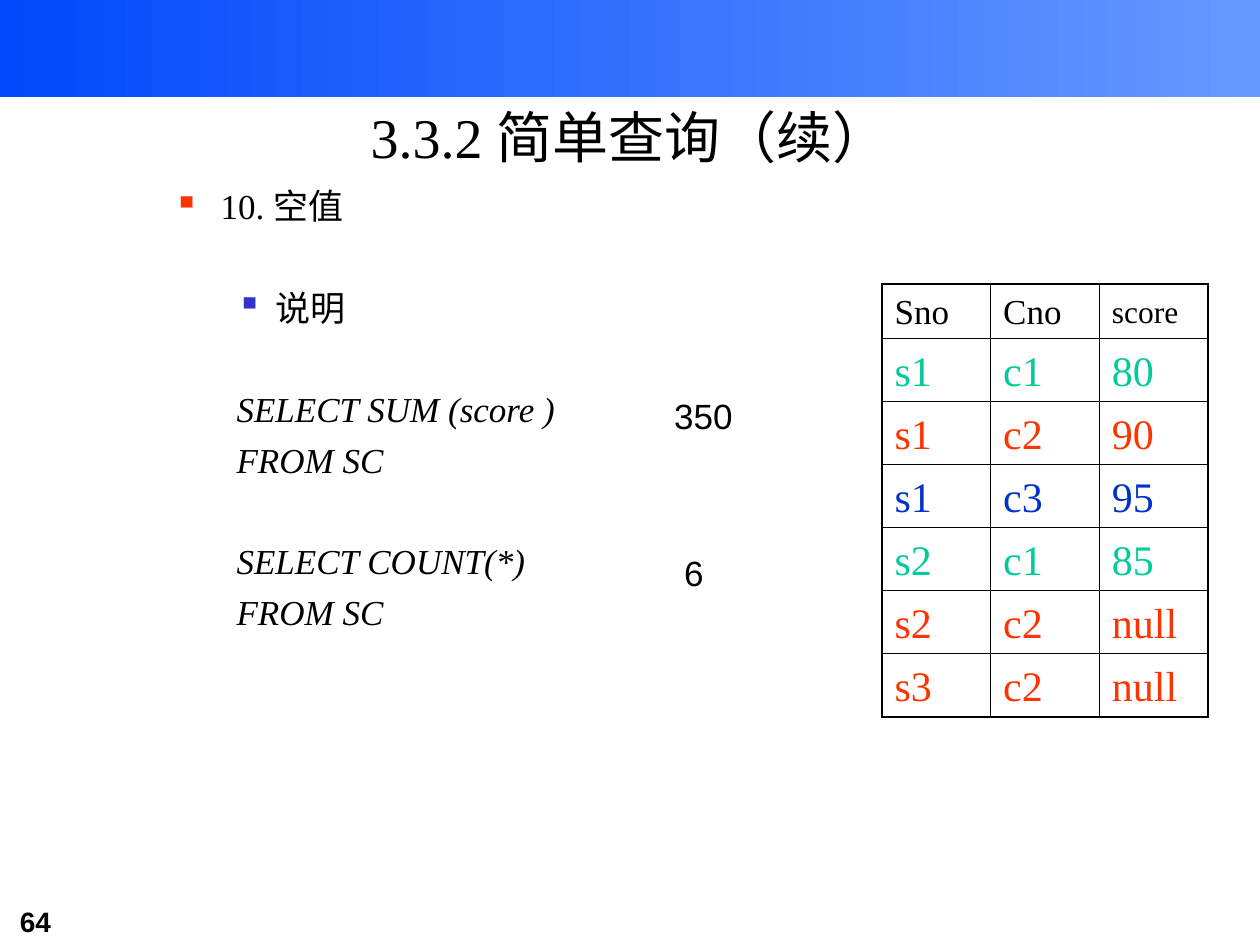
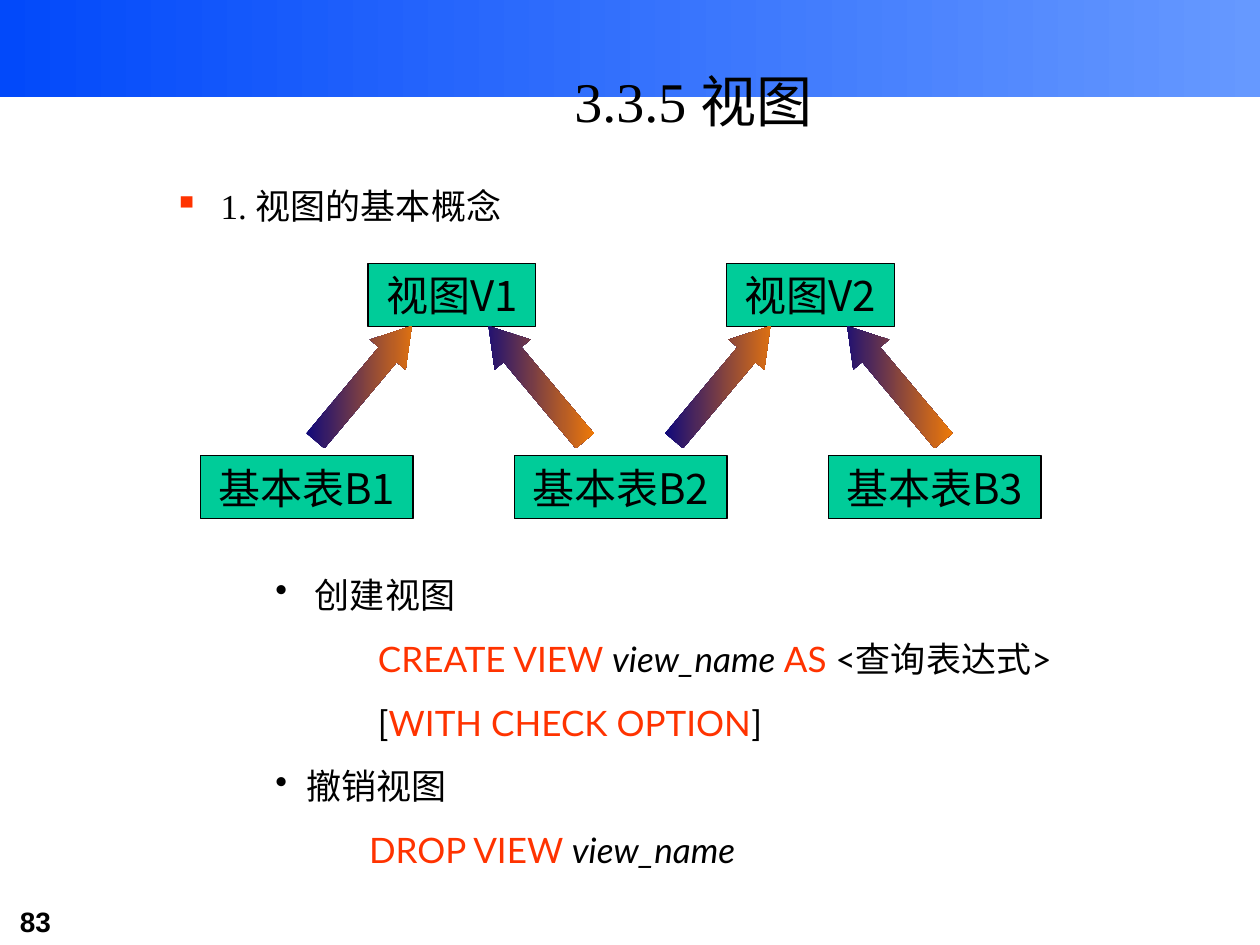
from lxml.etree import SubElement
from pptx import Presentation
from pptx.dml.color import RGBColor
from pptx.enum.shapes import MSO_SHAPE as Preset
from pptx.enum.text import MSO_ANCHOR as Anchor, PP_ALIGN as Align
from pptx.oxml.ns import qn
from pptx.util import Cm, Pt

SERIF, SANS, LATO, CJK = "Times New Roman", "Arial", "Lato", "Noto Sans CJK JP"
BLACK, RED, GREEN, BLUE, VIOLET = "000000", "FF3300", "00CC99", "0033CC", "3333CC"
BAND_COLOURS = ("0249FA", "6699FF")
ARROW_COLOURS = ("000082", "FF8200")
LINE_FACTOR = 1.2
THIN, THICK = 0.45, 1.08


def colour(value):
    return RGBColor.from_string(value)


def add_span(para, text, size, font=SERIF, tint=BLACK, bold=False, italic=False):
    span = para.add_run()
    span.text = text
    span.font.size = Pt(size)
    span.font.name = font
    span.font.bold = bold
    span.font.italic = italic
    span.font.color.rgb = colour(tint)
    SubElement(span._r.get_or_add_rPr(), qn("a:ea")).set("typeface", CJK)
    para.line_spacing = Pt(size * LINE_FACTOR)


def next_para(frame, before=0.0):
    first = frame.paragraphs[0]
    if not first.runs:
        return first
    para = frame.add_paragraph()
    para.space_before = Pt(before)
    return para


def indent(para, left, bullet=None, bullet_tint=BLACK, hang=0.0):
    properties = para._p.get_or_add_pPr()
    properties.set("marL", str(Cm(left)))
    properties.set("indent", str(-Cm(hang)))
    if bullet:
        tint = SubElement(properties, qn("a:buClr"))
        SubElement(tint, qn("a:srgbClr")).set("val", bullet_tint)
        SubElement(properties, qn("a:buChar")).set("char", bullet)


def add_frame(page, left, top, width, height, anchor=Anchor.TOP):
    box = page.shapes.add_textbox(Cm(left), Cm(top), Cm(width), Cm(height))
    frame = box.text_frame
    frame.word_wrap = True
    frame.vertical_anchor = anchor
    return frame


def add_label(page, text, left, top, width, height, size, bold=False):
    frame = add_frame(page, left, top, width, height)
    add_span(next_para(frame), text, size, SANS, bold=bold)


def add_preset(page, preset, left, top, width, height):
    shape = page.shapes.add_shape(preset, Cm(left), Cm(top), Cm(width), Cm(height))
    shape.shadow.inherit = False
    shape.line.fill.background()
    return shape


def fill_gradient(shape, colours):
    shape.fill.gradient()
    shape.fill.gradient_angle = 0
    for stop, position, value in zip(shape.fill.gradient_stops, (0, 1), colours):
        stop.position = position
        stop.color.rgb = colour(value)
    shape._element.spPr.find(qn("a:gradFill")).set("rotWithShape", "0")


def add_page(deck, title, title_left, title_top, number):
    page = deck.slides.add_slide(deck.slide_layouts[6])
    band = add_preset(page, Preset.RECTANGLE, 0, 0, 25.4, 1.96)
    fill_gradient(band, BAND_COLOURS)
    add_label(page, number, 0.15, 18.11, 3.1, 0.94, 16, bold=True)
    frame = add_frame(page, title_left, title_top, 21.6, 2.1, Anchor.MIDDLE)
    para = next_para(frame)
    para.alignment = Align.CENTER
    add_span(para, title, 32)
    return page


def add_body(page, heading, width, height):
    frame = add_frame(page, 3.25, 3.6, width, height)
    para = next_para(frame)
    add_span(para, heading, 20)
    indent(para, 0.95, "▪", RED, 0.95)
    return frame


def add_node(page, text, left, top, width):
    node = add_preset(page, Preset.RECTANGLE, left, top, width, 1.27)
    node.fill.solid()
    node.fill.fore_color.rgb = colour(GREEN)
    node.line.color.rgb = colour(BLACK)
    node.line.width = Pt(0.75)
    frame = node.text_frame
    frame.word_wrap = False
    frame.vertical_anchor = Anchor.MIDDLE
    para = next_para(frame)
    para.alignment = Align.CENTER
    add_span(para, text, 24, CJK)


def add_arrow(page, left, top, rotation):
    arrow = add_preset(page, Preset.UP_ARROW, left, top, 0.94, 3.02)
    arrow.adjustments[0] = 0.5
    arrow.adjustments[1] = 0.8
    arrow.rotation = rotation
    fill_gradient(arrow, ARROW_COLOURS)


def set_borders(cell, outer):
    properties = cell._tc.get_or_add_tcPr()
    for position, side in enumerate(("lnL", "lnR", "lnT", "lnB")):
        border = SubElement(properties, qn(f"a:{side}"))
        border.set("w", str(Pt(THICK if side in outer else THIN)))
        fill = SubElement(border, qn("a:solidFill"))
        SubElement(fill, qn("a:srgbClr")).set("val", BLACK)
        properties.remove(border)
        properties.insert(position, border)


def add_score_table(page, rows):
    count, width = len(rows), len(rows[0][1])
    table = page.shapes.add_table(count, width, Cm(17.78), Cm(5.72),
                                  Cm(2.19 * width), Cm(1.09 + 1.27 * (count - 1))).table
    table.first_row = table.horz_banding = False
    for column in table.columns:
        column.width = Cm(2.19)
    for row, (tint, values) in enumerate(rows):
        table.rows[row].height = Cm(1.27 if row else 1.09)
        for column, value in enumerate(values):
            cell = table.cell(row, column)
            cell.fill.background()
            cell.vertical_anchor = Anchor.MIDDLE
            size = 24 if row else 18 if value == "score" else 20
            add_span(next_para(cell.text_frame), value, size, tint=tint)
            edges = {"lnL": column == 0, "lnR": column == width - 1,
                     "lnT": row == 0, "lnB": row == count - 1}
            set_borders(cell, [side for side, at_edge in edges.items() if at_edge])


def build_null_page(deck):
    page = add_page(deck, "3.3.2 简单查询（续）", 1.9, 1.7, "64")
    frame = add_body(page, "10. 空值", 10.08, 13.34)
    para = next_para(frame, 34)
    add_span(para, "说明", 20)
    indent(para, 2.06, "▪", VIOLET, 0.79)
    for select in ("SELECT SUM (score )", "SELECT COUNT(*)"):
        for text, before in ((select, 34), ("FROM SC", 5)):
            para = next_para(frame, before)
            add_span(para, text, 20, italic=True)
            indent(para, 1.27)
    add_score_table(page, (
        (BLACK, ("Sno", "Cno", "score")),
        (GREEN, ("s1", "c1", "80")),
        (RED, ("s1", "c2", "90")),
        (BLUE, ("s1", "c3", "95")),
        (GREEN, ("s2", "c1", "85")),
        (RED, ("s2", "c2", "null")),
        (RED, ("s3", "c2", "null")),
    ))
    add_label(page, "350", 13.34, 7.82, 1.9, 1.12, 20)
    add_label(page, "6", 13.54, 11, 1.47, 1.12, 20)


def add_syntax(page):
    frame = add_frame(page, 4.65, 11.43, 17.48, 6.25)
    keyword, name, plain = (RED, False), (BLACK, True), (BLACK, False)
    lines = (
        (1.45, "•", (("创建视图", plain),)),
        (2.72, None, (("CREATE VIEW ", keyword), ("view_name ", name),
                      ("AS", keyword), (" <查询表达式>", plain))),
        (2.72, None, (("[", plain), ("WITH CHECK OPTION", keyword), ("]", plain))),
        (1.27, "•", (("撤销视图", plain),)),
        (2.54, None, (("DROP VIEW ", keyword), ("view_name", name))),
    )
    for left, bullet, spans in lines:
        para = next_para(frame, 12.5)
        for text, (tint, italic) in spans:
            add_span(para, text, 20, LATO, tint, italic=italic)
        indent(para, left, bullet, hang=left - 0.65 if bullet else 0)


def build_view_page(deck):
    page = add_page(deck, "3.3.5 视图", 3.18, 0.97, "83")
    add_body(page, "1. 视图的基本概念", 21.59, 9.32)
    view_lefts = [7.42 + 7.23 * index for index in range(2)]
    for number, left in enumerate(view_lefts, 1):
        add_node(page, f"视图V{number}", left, 5.31, 3.38)
    for index in range(3):
        add_node(page, f"基本表B{index + 1}", 4.04 + 6.33 * index, 9.19, 4.29)
    for left in view_lefts:
        for offset, rotation in ((-0.56, 40), (2.93, 320)):
            add_arrow(page, left + offset, 6.22, rotation)
    add_syntax(page)


def main():
    deck = Presentation()
    deck.slide_width, deck.slide_height = Cm(25.4), Cm(19.05)
    build_null_page(deck)
    build_view_page(deck)
    deck.save("out.pptx")


if __name__ == "__main__":
    main()
